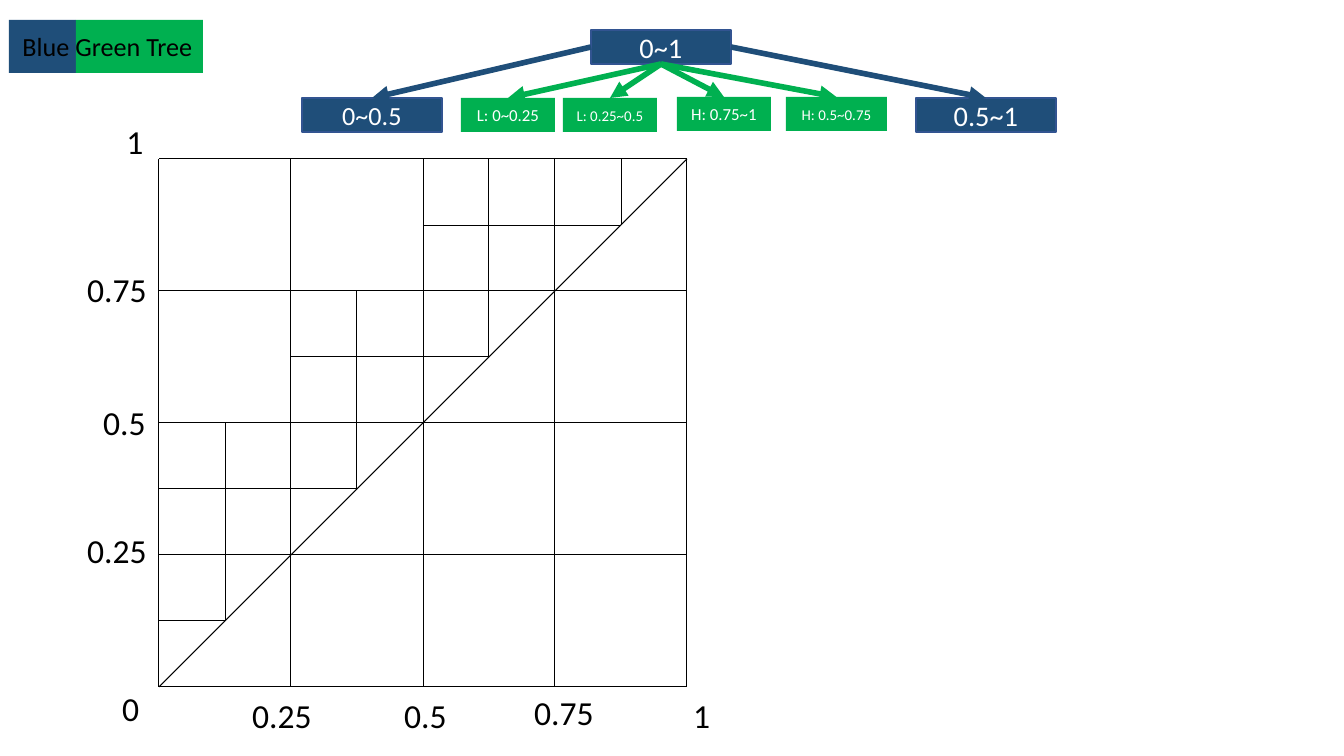
import dataclasses

import pptx
import pptx.dml.color
import pptx.enum.shapes
import pptx.enum.text
import pptx.oxml
import pptx.oxml.ns
import pptx.util

EMU_PER_PX = 9144000 / 1344
TOP, LEFT, BOTTOM, RIGHT = range(4)


@dataclasses.dataclass(frozen=True)
class Theme:
    font: str = "Calibri"
    blue: str = "1F4E79"
    blue_edge: str = "325491"
    green: str = "00B050"
    ink: str = "000000"
    paper: str = "FFFFFF"
    title_size: float = 14
    label_size: float = 18
    node_size: float = 15.2
    small_node_size: float = 14
    leaf_size: float = 9
    small_leaf_size: float = 8
    grid_width: float = 0.5
    edge_width: float = 1
    arrow_width: float = 3


def px(length):
    return pptx.util.Emu(round(length * EMU_PER_PX))


def rgb(color):
    return pptx.dml.color.RGBColor.from_string(color)


class SlideBuilder:
    def __init__(self, slide, theme):
        self.slide = slide
        self.theme = theme

    def set_text(self, shape, text, size, color, alignment, anchor):
        frame = shape.text_frame
        frame.text = text
        frame.word_wrap = True
        frame.auto_size = pptx.enum.text.MSO_AUTO_SIZE.NONE
        frame.vertical_anchor = anchor
        paragraph = frame.paragraphs[0]
        paragraph.alignment = alignment
        font = paragraph.runs[0].font
        font.name = self.theme.font
        font.size = pptx.util.Pt(size)
        font.color.rgb = rgb(color)

    def set_plain_text(self, shape, text, size):
        self.set_text(shape, text, size, self.theme.ink,
                      pptx.enum.text.PP_ALIGN.LEFT, pptx.enum.text.MSO_ANCHOR.TOP)

    def title(self, text, left, top, width, height):
        shape = self.slide.shapes.title
        shape.left, shape.top = px(left), px(top)
        shape.width, shape.height = px(width), px(height)
        self.set_plain_text(shape, text, self.theme.title_size)
        # Bring the title in front of its coloured bands
        self.slide.shapes.element.append(shape.element)

    def label(self, text, left, top, width):
        shape = self.slide.shapes.add_textbox(px(left), px(top), px(width), px(54))
        self.set_plain_text(shape, text, self.theme.label_size)

    def box(self, left, top, width, height, fill, edge=None):
        shape = self.slide.shapes.add_shape(
            pptx.enum.shapes.MSO_SHAPE.RECTANGLE,
            px(left), px(top), px(width), px(height))
        shape.shadow.inherit = False
        shape.fill.solid()
        shape.fill.fore_color.rgb = rgb(fill)
        if edge:
            shape.line.color.rgb = rgb(edge)
            shape.line.width = pptx.util.Pt(self.theme.edge_width)
        else:
            shape.line.fill.background()
        return shape

    def node(self, text, size, left, top, width, fill, edge=None):
        shape = self.box(left, top, width, 34, fill, edge)
        shape.text_frame.margin_left = shape.text_frame.margin_right = 0
        self.set_text(shape, text, size, self.theme.paper,
                      pptx.enum.text.PP_ALIGN.CENTER, pptx.enum.text.MSO_ANCHOR.MIDDLE)
        return shape

    def line(self, x1, y1, x2, y2, color, width):
        connector = self.slide.shapes.add_connector(
            pptx.enum.shapes.MSO_CONNECTOR.STRAIGHT, px(x1), px(y1), px(x2), px(y2))
        connector.line.color.rgb = rgb(color)
        connector.line.width = pptx.util.Pt(width)
        connector.element.spPr.append(pptx.oxml.parse_xml(
            f'<a:effectLst {pptx.oxml.ns.nsdecls("a")}/>'))
        return connector

    def arrow(self, parent, side, child, color):
        connector = self.line(0, 0, 0, 0, color, self.theme.arrow_width)
        connector.begin_connect(parent, side)
        connector.end_connect(child, TOP)
        outline = connector.element.spPr.find(pptx.oxml.ns.qn("a:ln"))
        outline.append(pptx.oxml.parse_xml(
            f'<a:tailEnd {pptx.oxml.ns.nsdecls("a")} type="triangle"/>'))

    def grid_line(self, x1, y1, x2, y2):
        """Draw between points counted in eighths from the lower left corner."""
        left, bottom, eighth = 159, 687, 66
        self.line(left + x1 * eighth, bottom - y1 * eighth,
                  left + x2 * eighth, bottom - y2 * eighth,
                  self.theme.ink, self.theme.grid_width)


def main():
    presentation = pptx.Presentation()
    presentation.slide_width, presentation.slide_height = px(1344), px(756)
    theme = Theme()
    title_only = presentation.slide_layouts[5]
    builder = SlideBuilder(presentation.slides.add_slide(title_only), theme)

    # Title on two coloured bands
    builder.box(9, 20, 67, 53, theme.blue)
    builder.box(76, 20, 127, 53, theme.green)
    builder.title("Blue Green Tree", 9, 24, 207, 46)

    # Quarter grid and diagonal
    for position in range(0, 9, 2):
        builder.grid_line(0, position, 8, position)
        builder.grid_line(position, 0, position, 8)
    builder.grid_line(0, 0, 8, 8)

    # Eighth subdivisions: one short and one long piece on each side of a step
    for step in range(1, 8, 2):
        builder.grid_line(step, step, step, step + 1)
        builder.grid_line(step - 1, step, step, step)
        if step < 7:
            builder.grid_line(step, step + 1, step, step + 3)
        if step > 1:
            builder.grid_line(step - 3, step, step - 1, step)

    # Axis labels
    for text, left, top, width in (
        ("1", 113, 114, 63), ("0.75", 74, 262, 91), ("0.5", 90, 395, 81),
        ("0.25", 74, 523, 91), ("0", 109, 681, 63), ("0.25", 239, 688, 91),
        ("0.5", 391, 688, 81), ("0.75", 521, 685, 91), ("1", 680, 688, 63),
    ):
        builder.label(text, left, top, width)

    # Blue tree
    root = builder.node("0~1", theme.node_size, 591, 30, 140,
                        theme.blue, theme.blue_edge)
    for text, size, left, side in (
        ("0~0.5", theme.small_node_size, 302, LEFT),
        ("0.5~1", theme.node_size, 916, RIGHT),
    ):
        child = builder.node(text, size, left, 98, 140, theme.blue, theme.blue_edge)
        builder.arrow(root, side, child, theme.blue)

    # Green leaves
    for text, size, left, top, width in (
        ("L: 0~0.25", theme.leaf_size, 461, 98, 94),
        ("L: 0.25~0.5", theme.small_leaf_size, 563, 98, 94),
        ("H: 0.75~1", theme.leaf_size, 677, 97, 94),
        ("H: 0.5~0.75", theme.small_leaf_size, 786, 97, 101),
    ):
        leaf = builder.node(text, size, left, top, width, theme.green)
        builder.arrow(root, BOTTOM, leaf, theme.green)

    presentation.save("out.pptx")


if __name__ == "__main__":
    main()
